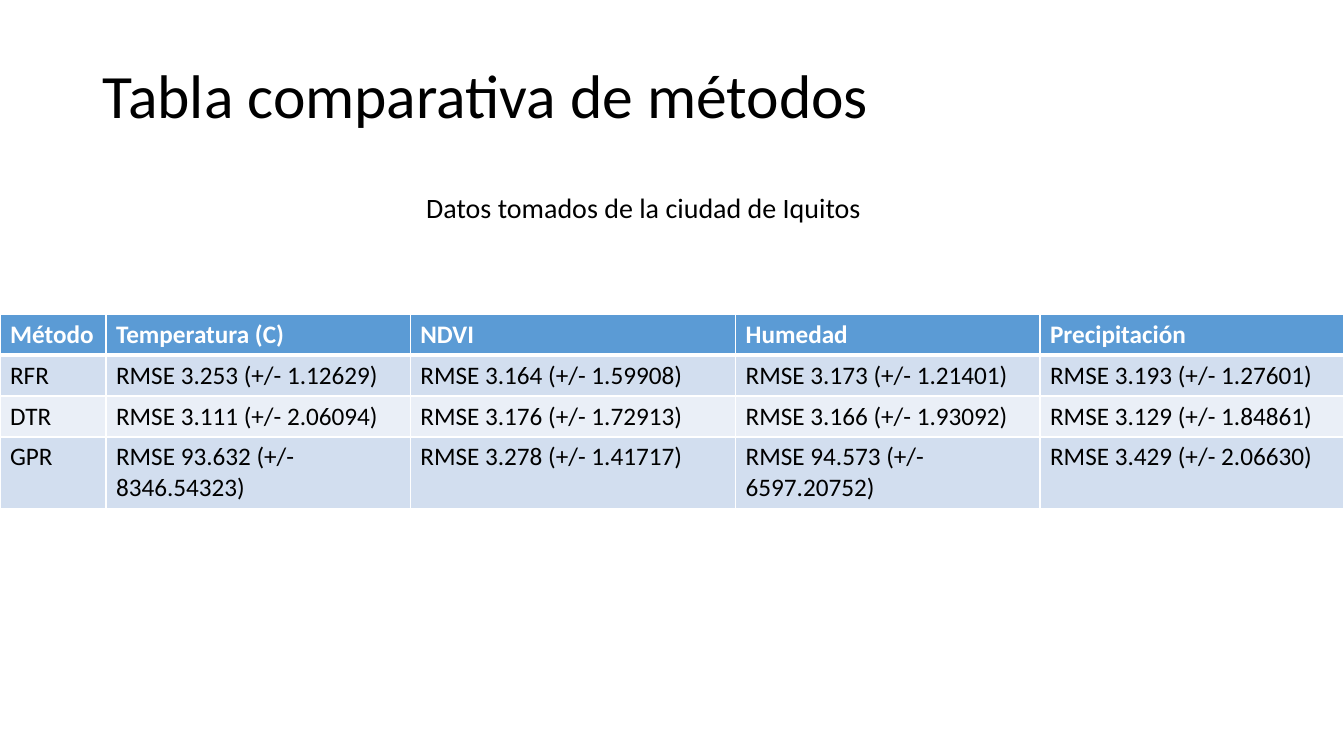
import pptx
import pptx.dml.color
import pptx.enum.text
import pptx.oxml.ns
import pptx.util
from lxml import etree

Cm = pptx.util.Cm
Pt = pptx.util.Pt

METHOD_RESULTS = [
    ["Método", "Temperatura (C)", "NDVI", "Humedad", "Precipitación"],
    ["RFR", "RMSE 3.253 (+/- 1.12629)", "RMSE 3.164 (+/- 1.59908)",
     "RMSE 3.173 (+/- 1.21401)", "RMSE 3.193 (+/- 1.27601)"],
    ["DTR", "RMSE 3.111 (+/- 2.06094)", "RMSE 3.176 (+/- 1.72913)",
     "RMSE 3.166 (+/- 1.93092)", "RMSE 3.129 (+/- 1.84861)"],
    ["GPR", "RMSE 93.632 (+/- 8346.54323)", "RMSE 3.278 (+/- 1.41717)",
     "RMSE 94.573 (+/- 6597.20752)", "RMSE 3.429 (+/- 2.06630)"],
]
COLUMN_WIDTHS = [2.67, 7.67, 8.2, 7.67, 7.65]
ROW_HEIGHT = 1.03


def rgb(value):
    return pptx.dml.color.RGBColor.from_string(value)


class ComparisonSlide:
    font = "Calibri"
    ink = "000000"
    paper = "FFFFFF"
    header_fill = "5B9BD5"
    band_fills = ["D2DEEF", "EAEFF7"]

    def __init__(self, slide):
        self.slide = slide

    def add_text(self, frame, wording, size, color=ink, bold=False):
        paragraph = frame.paragraphs[0]
        paragraph.alignment = pptx.enum.text.PP_ALIGN.LEFT
        run = paragraph.add_run()
        run.text = wording
        run.font.name = self.font
        run.font.size = Pt(size)
        run.font.bold = bold
        run.font.color.rgb = rgb(color)
        return paragraph

    def title(self, wording, left, top, width, height):
        heading = self.slide.shapes.title
        heading.left, heading.top = Cm(left), Cm(top)
        heading.width, heading.height = Cm(width), Cm(height)
        heading.text_frame.vertical_anchor = pptx.enum.text.MSO_ANCHOR.MIDDLE
        self.add_text(heading.text_frame, wording, 44).line_spacing = 0.9

    def caption(self, wording, left, top, width, height):
        box = self.slide.shapes.add_textbox(Cm(left), Cm(top), Cm(width), Cm(height))
        box.text_frame.word_wrap = True
        box.text_frame.auto_size = pptx.enum.text.MSO_AUTO_SIZE.SHAPE_TO_FIT_TEXT
        self.add_text(box.text_frame, wording, 20)

    def border(self, cell, side, points):
        qn = pptx.oxml.ns.qn
        line = etree.SubElement(cell._tc.get_or_add_tcPr(), qn(f"a:ln{side}"), w=str(Pt(points)))
        fill = etree.SubElement(line, qn("a:solidFill"))
        etree.SubElement(fill, qn("a:srgbClr"), val=self.paper)

    def table(self, rows, left, top, widths, row_height):
        grid = self.slide.shapes.add_table(
            len(rows), len(widths), Cm(left), Cm(top),
            Cm(sum(widths)), Cm(row_height * len(rows))).table
        for column, width in zip(grid.columns, widths):
            column.width = Cm(width)
        for row_index, values in enumerate(rows):
            grid.rows[row_index].height = Cm(row_height)
            header = row_index == 0
            fill = self.header_fill if header else self.band_fills[(row_index - 1) % 2]
            # The rule under the header is shared with the first data row
            edges = {"L": 1, "R": 1, "T": 3 if row_index == 1 else 1, "B": 3 if header else 1}
            for column_index, value in enumerate(values):
                cell = grid.cell(row_index, column_index)
                for side, points in edges.items():
                    self.border(cell, side, points)
                cell.fill.solid()
                cell.fill.fore_color.rgb = rgb(fill)
                self.add_text(cell.text_frame, value, 18, self.paper if header else self.ink, header)


def main():
    deck = pptx.Presentation()
    deck.slide_width, deck.slide_height = Cm(33.87), Cm(19.05)
    comparison = ComparisonSlide(deck.slides.add_slide(deck.slide_layouts[5]))
    comparison.title("Tabla comparativa de métodos", 2.34, 0.64, 29.21, 3.68)
    comparison.table(METHOD_RESULTS, 0, 7.92, COLUMN_WIDTHS, ROW_HEIGHT)
    comparison.caption("Datos tomados de la ciudad de Iquitos", 10.49, 4.67, 12.19, 1.12)
    deck.save("out.pptx")


if __name__ == "__main__":
    main()
